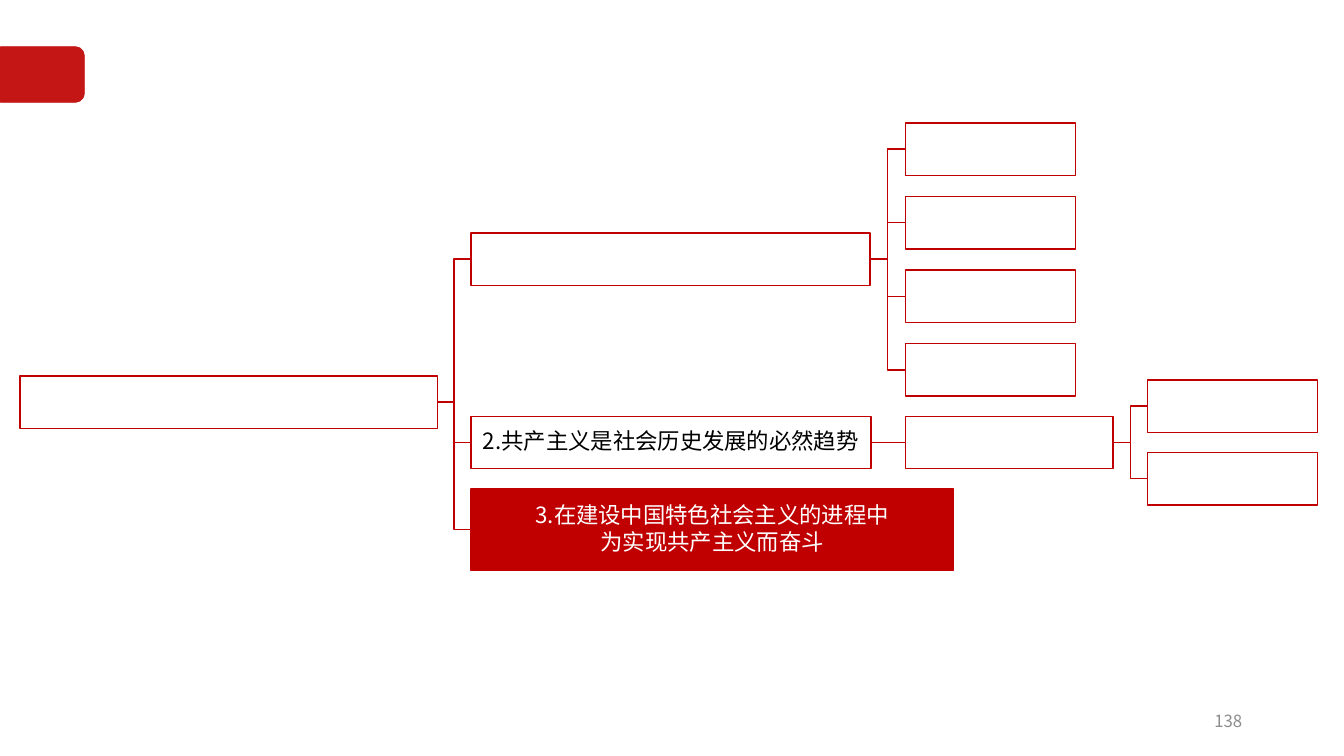
from dataclasses import dataclass
from typing import Any, Optional

from lxml.etree import SubElement
from pptx import Presentation
from pptx.dml.color import RGBColor as Rgb
from pptx.enum.shapes import MSO_CONNECTOR as Link, MSO_SHAPE as Form
from pptx.enum.text import MSO_ANCHOR as Anchor, PP_ALIGN as Align
from pptx.oxml.ns import qn
from pptx.util import Emu, Pt

SCALE = 9144


@dataclass(frozen=True)
class Theme:
    red: Rgb = Rgb(0xC0, 0, 0)
    white: Rgb = Rgb(255, 255, 255)
    black: Rgb = Rgb(0, 0, 0)
    gray: Rgb = Rgb(0x8C, 0x8C, 0x8C)
    font: str = "Noto Sans CJK SC"
    body: Pt = Pt(16)
    small: Pt = Pt(12)
    line: Pt = Pt(1)


@dataclass(frozen=True)
class Node:
    name: str
    root: Optional[str]
    left: int
    top: int
    width: int
    height: int = 52
    fill: Rgb = Theme.white
    ink: Rgb = Theme.black
    text: tuple[str, ...] = ()


NODES = [
    Node("root", None, 20, 373, 414),
    Node("one", "root", 467, 231, 396),
    *[Node(f"one-{i}", "one", 898, 122 + 73 * i, 169) for i in range(4)],
    Node("two", "root", 467, 413, 397, text=("2.共产主义是社会历史发展的必然趋势",)),
    Node("two-sub", "two", 898, 413, 206),
    *[Node(f"two-{i}", "two-sub", 1138, 377 + 72 * i, 169) for i in range(2)],
    Node("three", "root", 467, 485, 479, 81, Theme.red, Theme.white,
         ("3.在建设中国特色社会主义的进程中", "为实现共产主义而奋斗")),
]


def px(*sizes: int) -> list[Emu]:
    return [Emu(size * SCALE) for size in sizes]


def apply(item: Any, look: dict[str, Any]) -> None:
    for name, value in look.items():
        setattr(item, name, value)


def write(frame: Any, lines: tuple[str, ...], size: Pt, ink: Rgb, look: dict[str, Any]) -> None:
    apply(frame, {"word_wrap": True, "vertical_anchor": Anchor.MIDDLE})
    for i, line in enumerate(lines):
        para = frame.add_paragraph() if i else frame.paragraphs[0]
        apply(para, look)
        run = para.add_run()
        run.text = line
        apply(run.font, {"size": size, "name": Theme.font})
        run.font.color.rgb = ink
        SubElement(run.font._element, qn("a:ea")).set("typeface", Theme.font)


def add_tab(slide: Any) -> None:
    tab = slide.shapes.add_shape(Form.ROUNDED_RECTANGLE, *px(-8, 46, 92, 56))
    tab.shadow.inherit = False
    tab.fill.solid()
    tab.fill.fore_color.rgb = Theme.red
    tint = tab._element.spPr.find(".//" + qn("a:srgbClr"))
    SubElement(tint, qn("a:alpha")).set("val", "70000")
    tab.line.fill.background()


def add_node(slide: Any, node: Node) -> Any:
    box = slide.shapes.add_shape(Form.RECTANGLE, *px(node.left, node.top, node.width, node.height))
    box.shadow.inherit = False
    box.fill.solid()
    box.fill.fore_color.rgb = node.fill
    box.line.color.rgb = Theme.red
    box.line.width = Theme.line
    pads = ("margin_left", "margin_top", "margin_right", "margin_bottom")
    apply(box.text_frame, dict.fromkeys(pads, px(1)[0]))
    write(box.text_frame, node.text, Theme.body, node.ink,
          {"alignment": Align.CENTER, "line_spacing": 0.9, "space_after": Pt(2)})
    return box


def join(slide: Any, start: Any, end: Any) -> None:
    kind = Link.STRAIGHT if start.top == end.top else Link.ELBOW
    wire = slide.shapes.add_connector(kind, 0, 0, 0, 0)
    wire.begin_connect(start, 3)
    wire.end_connect(end, 1)
    wire.line.color.rgb = Theme.red
    wire.line.width = Theme.line
    SubElement(wire._element.spPr, qn("a:effectLst"))


def main() -> None:
    deck = Presentation()
    deck.slide_width, deck.slide_height = px(1333, 750)
    slide = deck.slides.add_slide(deck.slide_layouts[6])
    for _ in range(2):
        add_tab(slide)
    page = slide.shapes.add_textbox(*px(942, 695, 300, 40))
    write(page.text_frame, ("138",), Theme.small, Theme.gray, {"alignment": Align.RIGHT})
    boxes = {node.name: add_node(slide, node) for node in NODES}
    for node in NODES:
        if node.root:
            join(slide, boxes[node.root], boxes[node.name])
    deck.save("out.pptx")


if __name__ == "__main__":
    main()
